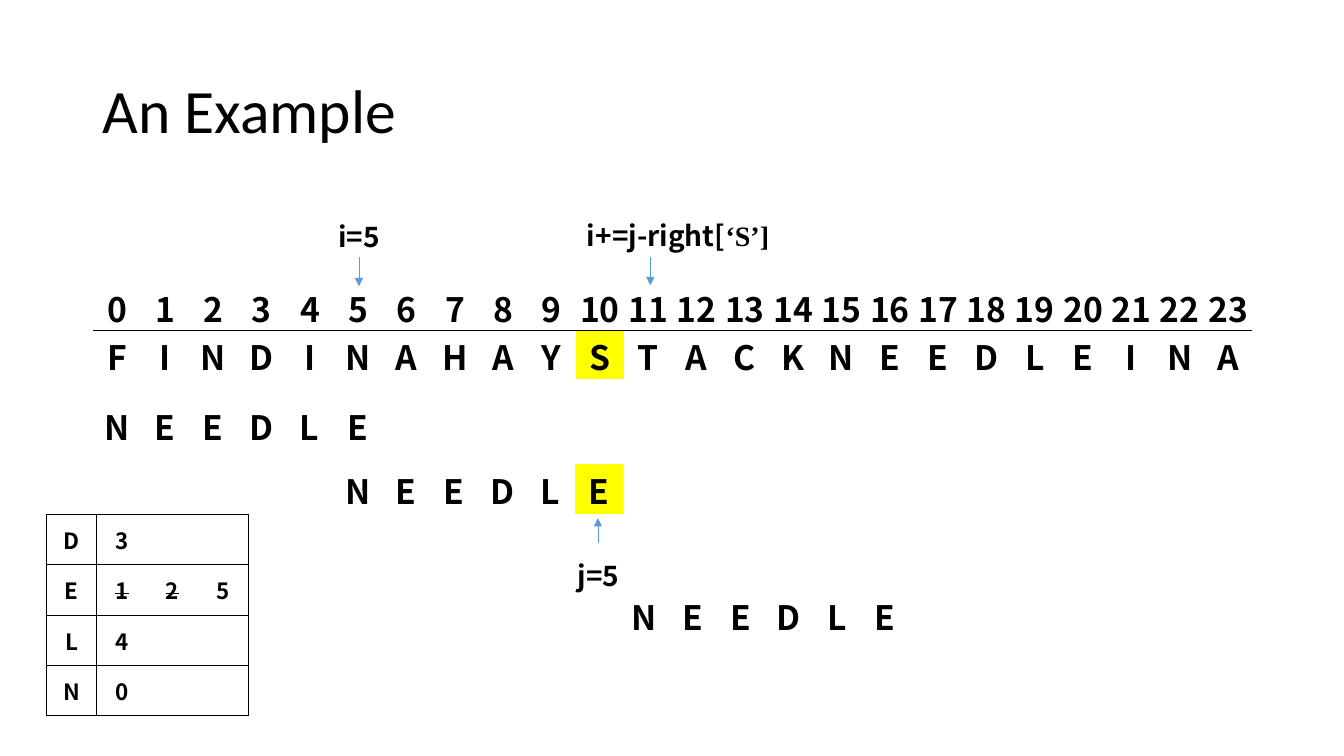
from lxml import etree
from pptx import Presentation
from pptx.dml.color import RGBColor
from pptx.enum.shapes import MSO_CONNECTOR
from pptx.enum.text import MSO_ANCHOR, PP_ALIGN
from pptx.oxml.ns import qn
from pptx.util import Inches, Pt

STRAIGHT = MSO_CONNECTOR.STRAIGHT
MIDDLE = MSO_ANCHOR.MIDDLE
CENTER = PP_ALIGN.CENTER

BLACK, YELLOW, BLUE = "000000", "FFFF00", "5B9BD5"
BODY_FONT, TITLE_FONT, QUOTE_FONT = "Noto Sans CJK SC", "Calibri", "Times New Roman"
HAIRLINE = 0.5
SIDES = "LRTB"

HAYSTACK = "FINDINAHAYSTACKNEEDLEINA"
NEEDLE = "NEEDLE"
MISMATCH = 10
LEFT = 0.92
PATTERN_WIDTH = 2.87
RIGHT_TABLE = [
    ["D", "3", "", ""],
    ["E", "1", "2", "5"],
    ["L", "4", "", ""],
    ["N", "0", "", ""],
]
OUTDATED = {(1, 1), (1, 2)}


def color(hex_value):
    return RGBColor.from_string(hex_value)


def add_run(paragraph, text, size, font=BODY_FONT, bold=True):
    run = paragraph.add_run()
    run.text = text
    for name, value in {"name": font, "size": Pt(size), "bold": bold}.items():
        setattr(run.font, name, value)
    run.font.color.rgb = color(BLACK)
    return run


def set_borders(cell, visible):
    """Draw a hairline on the visible sides and none on the others."""
    properties = cell._tc.get_or_add_tcPr()
    for index, side in enumerate(SIDES):
        line = etree.Element(qn(f"a:ln{side}"), w=str(Pt(HAIRLINE)))
        if side in visible:
            fill = etree.SubElement(line, qn("a:solidFill"))
            etree.SubElement(fill, qn("a:srgbClr"), val=BLACK)
        else:
            etree.SubElement(line, qn("a:noFill"))
        properties.insert(index, line)


def add_grid(slide, box, rows, size, borders=None, highlight=None):
    """Fill the box with equal cells; borders maps (row, column) to visible sides."""
    frame = slide.shapes.add_table(len(rows), len(rows[0]), *map(Inches, box))
    table = frame.table
    table.first_row = table.horz_banding = False
    cell_format = {
        "vertical_anchor": MIDDLE,
        "margin_left": Inches(0.01),
        "margin_right": Inches(0.01),
        "margin_top": Inches(0.01),
        "margin_bottom": 0,
    }
    for row, texts in enumerate(rows):
        for column, text in enumerate(texts):
            cell = table.cell(row, column)
            for name, value in cell_format.items():
                setattr(cell, name, value)
            set_borders(cell, borders(row, column) if borders else "")
            if (row, column) == highlight:
                cell.fill.solid()
                cell.fill.fore_color.rgb = color(YELLOW)
            else:
                cell.fill.background()
            paragraph = cell.text_frame.paragraphs[0]
            paragraph.alignment = CENTER
            if text:
                add_run(paragraph, text, size)
    return table


def add_arrow(slide, x, start, end):
    arrow = slide.shapes.add_connector(STRAIGHT, *map(Inches, (x, start, x, end)))
    arrow.line.color.rgb = color(BLUE)
    arrow.line.width = Pt(HAIRLINE)
    etree.SubElement(arrow.line._get_or_add_ln(), qn("a:tailEnd"), type="triangle")
    etree.SubElement(arrow._element.spPr, qn("a:effectLst"))


def add_title(slide, box, text):
    frame = slide.shapes.add_textbox(*map(Inches, box)).text_frame
    frame.word_wrap = True
    frame.vertical_anchor = MIDDLE
    paragraph = frame.paragraphs[0]
    paragraph.line_spacing = 0.9
    add_run(paragraph, text, 44, TITLE_FONT, bold=False)


def add_haystack(slide, box):
    indexes = [str(index) for index in range(len(HAYSTACK))]
    add_grid(slide, box, [indexes, list(HAYSTACK)], 24,
             borders=lambda row, column: "T" if row else "B", highlight=(1, MISMATCH))


def add_needle(slide, left, top, highlight=None):
    add_grid(slide, (left, top, PATTERN_WIDTH, 0.5), [list(NEEDLE)], 24, highlight=highlight)


def add_label(slide, box, text, quoted=""):
    table = add_grid(slide, box, [[text]], 20)
    if quoted:
        add_run(table.cell(0, 0).text_frame.paragraphs[0], quoted, 20, QUOTE_FONT)


def right_table_borders(row, column):
    return {0: "LRTB", 1: "LTB", 2: "TB", 3: "RTB"}[column]


def add_right_table(slide, box):
    table = add_grid(slide, box, RIGHT_TABLE, 16, borders=right_table_borders)
    for position in OUTDATED:
        run = table.cell(*position).text_frame.paragraphs[0].runs[0]
        run._r.get_or_add_rPr().set("strike", "sngStrike")


def main():
    presentation = Presentation()
    presentation.slide_width = Inches(13.33)
    presentation.slide_height = Inches(7.5)
    slide = presentation.slides.add_slide(presentation.slide_layouts[6])

    add_title(slide, (LEFT, 0.4, 11.5, 1.45), "An Example")
    add_haystack(slide, (LEFT, 2.8, 11.5, 0.96))
    add_needle(slide, LEFT, 3.97)
    add_label(slide, (5.58, 5.44, 0.71, 0.5), "j=5")
    add_arrow(slide, 5.93, 5.39, 5.14)
    add_label(slide, (3.16, 2.08, 0.8, 0.5), "i=5")
    add_arrow(slide, 3.56, 2.55, 2.84)
    add_needle(slide, 3.31, 4.6, highlight=(0, len(NEEDLE) - 1))
    add_label(slide, (5.26, 2.07, 2.93, 0.5), "i+=j-right[", "‘S’]")
    add_arrow(slide, 6.45, 2.55, 2.83)
    add_right_table(slide, (0.46, 5.1, 2, 2))
    add_needle(slide, 6.15, 5.86)

    presentation.save("out.pptx")


if __name__ == "__main__":
    main()
